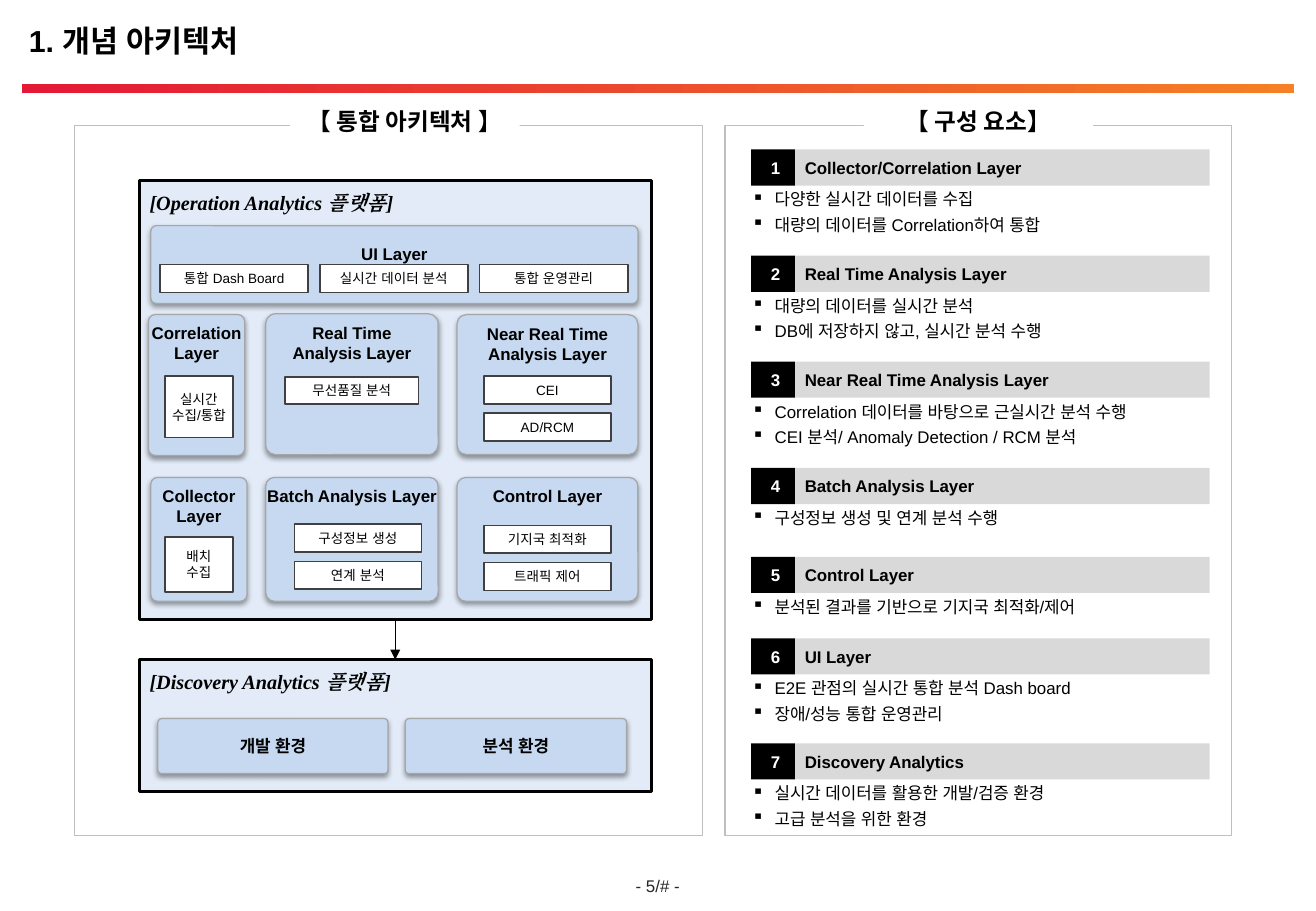
from lxml.etree import SubElement
from pptx import Presentation
from pptx.dml.color import RGBColor
from pptx.enum.shapes import MSO_CONNECTOR, MSO_SHAPE
from pptx.enum.text import MSO_ANCHOR, PP_ALIGN
from pptx.oxml.ns import qn
from pptx.util import Pt

BLACK = RGBColor(0x00, 0x00, 0x00)
WHITE = RGBColor(0xFF, 0xFF, 0xFF)
CHARCOAL = RGBColor(0x26, 0x26, 0x26)
DARK_GREY = RGBColor(0x40, 0x40, 0x40)
MID_GREY = RGBColor(0xA6, 0xA6, 0xA6)
PANEL_GREY = RGBColor(0xBF, 0xBF, 0xBF)
HEADER_GREY = RGBColor(0xD9, 0xD9, 0xD9)
LIGHT_BLUE = RGBColor(0xC6, 0xD9, 0xF1)
RED = RGBColor(0xE3, 0x19, 0x36)
ORANGE = RGBColor(0xF5, 0x80, 0x25)
KOREAN = "Noto Sans CJK KR"

deck = Presentation()
deck.slide_width, deck.slide_height = Pt(780), Pt(540)
page = deck.slides.add_slide(deck.slide_layouts[6])


def add_box(at, fill=None, line=None, width=0.75, kind=MSO_SHAPE.RECTANGLE):
    """Add a shape, or a text box when there is no fill."""
    place = [Pt(length) for length in at]
    if fill is None:
        return page.shapes.add_textbox(*place)
    box = page.shapes.add_shape(kind, *place)
    box.shadow.inherit = False
    box.fill.solid()
    box.fill.fore_color.rgb = fill
    if line is None:
        box.line.fill.background()
    else:
        box.line.color.rgb = line
        box.line.width = Pt(width)
    return box


def write(box, lines, size, insets, font="Arial", color=BLACK, bold=False,
          align=PP_ALIGN.CENTER, anchor=MSO_ANCHOR.MIDDLE, wrap=True):
    """Fill a box with one paragraph per line."""
    frame = box.text_frame
    frame.word_wrap = wrap
    frame.vertical_anchor = anchor
    (frame.margin_left, frame.margin_top,
     frame.margin_right, frame.margin_bottom) = [Pt(inset) for inset in insets]
    frame.text = "\n".join(lines)
    for para in frame.paragraphs:
        para.alignment = align
        para.font.size = Pt(size)
        para.font.bold = bold
        para.font.color.rgb = color
        para.font.name = font
        defaults = para._p.pPr.find(qn("a:defRPr"))
        SubElement(defaults, qn("a:ea"), typeface=font)
    return frame.paragraphs


# Title, gradient rule and page number
title = add_box((10, 9.4, 758, 33))
para = write(title, ["1. "], 18, (7.2, 3.6, 7.2, 3.6), bold=True,
             align=PP_ALIGN.LEFT, anchor=MSO_ANCHOR.TOP)[0]
for text, font in (("개념", KOREAN), (" 아키텍처", "Arial")):
    span = para.add_run()
    span.text = text
    span.font.name = font
    SubElement(span._r.get_or_add_rPr(), qn("a:ea"), typeface=font)

rule = add_box((13, 49.8, 754, 5.4), RED)
rule.fill.gradient()
rule.fill.gradient_angle = 0
for stop, color in zip(rule.fill.gradient_stops, (RED, ORANGE)):
    stop.color.rgb = color

number = add_box((367, 519, 45.6, 11.6))
write(number, ["- 5/# -"], 10, (0, 0, 0, 0), color=CHARCOAL, wrap=False)

# Two panels with a heading that breaks the top border
for left, width, heading_left, heading in (
        (44, 372.4, 172, "【 통합 아키텍처 】"),
        (429.8, 300.2, 512, "【 구성 요소】")):
    add_box((left, 74.2, width, 421), WHITE, PANEL_GREY)
    box = add_box((heading_left, 60.5, 136, 23), WHITE)
    write(box, [heading], 14, (3, 3, 3, 3), font=KOREAN, bold=True)

# Platforms and the arrow between them
platforms = []
for top, height, name in ((107, 260, "[Operation Analytics 플랫폼]"),
                          (391, 78.4, "[Discovery Analytics 플랫폼]")):
    box = add_box((82.6, top, 303.4, height), LIGHT_BLUE, BLACK, 1.75)
    tint = box.fill._xPr.find(qn("a:solidFill"))[0]
    SubElement(tint, qn("a:alpha"), val="50000")
    para = write(box, [name], 12, (6, 6, 6, 6), font="Times New Roman",
                 bold=True, align=PP_ALIGN.LEFT, anchor=MSO_ANCHOR.TOP)[0]
    para.font.italic = True
    platforms.append(box)

arrow = page.shapes.add_connector(MSO_CONNECTOR.STRAIGHT, 0, 0, 0, 0)
arrow.begin_connect(platforms[0], 2)
arrow.end_connect(platforms[1], 0)
arrow.line.color.rgb = BLACK
arrow.line.width = Pt(0.75)
SubElement(arrow.line._get_or_add_ln(), qn("a:tailEnd"), type="triangle")
SubElement(arrow._element.spPr, qn("a:effectLst"))

# Layers: place, name, line spacing
layers = [
    ((89.4, 133.8, 288.7, 46.1), ["UI Layer"], 1.5),
    ((88, 186.5, 57, 83.5), ["Correlation", "Layer"], 1),
    ((157.5, 186, 102.2, 83.5), ["Real Time", "Analysis Layer"], 1),
    ((270.9, 186.5, 107.2, 83), ["Near Real Time", "Analysis Layer"], 1),
    ((89.4, 283, 57, 73.4), ["Collector", "Layer"], 1),
    ((157.5, 283, 102.2, 73.4), ["Batch Analysis Layer"], 1),
    ((270.9, 283, 107.2, 73.4), ["Control Layer"], 1),
    ((93.6, 426, 136.4, 32.6), ["개발 환경"], 1.5),
    ((240.2, 426, 131.2, 32.6), ["분석 환경"], 1.5),
]
for at, name, spacing in layers:
    box = add_box(at, LIGHT_BLUE, MID_GREY, kind=MSO_SHAPE.ROUNDED_RECTANGLE)
    box.adjustments[0] = 0.07
    effects = box._element.spPr.find(qn("a:effectLst"))
    shadow = SubElement(effects, qn("a:outerShdw"), blurRad="40000",
                        dist="20000", dir="5400000", rotWithShape="0")
    shade = SubElement(shadow, qn("a:srgbClr"), val="000000")
    SubElement(shade, qn("a:alpha"), val="38000")
    for para in write(box, name, 10, (7.2, 3.6, 7.2, 3.6), bold=True,
                      anchor=MSO_ANCHOR.TOP, wrap=False):
        para.line_spacing = spacing

# Modules inside the layers
modules = [
    ((97.9, 223, 40.1, 36.4), ["실시간", "수집/통합"]),
    ((97.9, 318.3, 40.1, 32.6), ["배치", "수집"]),
    ((169, 223.4, 79.2, 16.2), ["무선품질 분석"]),
]
for column, name in enumerate(("통합 Dash Board", "실시간 데이터 분석", "통합 운영관리")):
    modules.append(((94.9 + 94.7 * column, 156.9, 87.8, 16.5), [name]))
for left, top, names in ((286.8, 223, ("CEI", "AD/RCM")),
                         (174.5, 310.8, ("구성정보 생성", "연계 분석")),
                         (286.8, 311.5, ("기지국 최적화", "트래픽 제어"))):
    for row, name in enumerate(names):
        modules.append(((left, top + 22 * row, 75.4, 16.5), [name]))
for at, name in modules:
    write(add_box(at, WHITE, DARK_GREY, 1), name, 8, (0, 3.6, 0, 3.6))

# Numbered components: top, name, bullets
components = [
    (88.6, "Collector/Correlation Layer",
     ["다양한 실시간 데이터를 수집", "대량의 데이터를 Correlation하여 통합"]),
    (151.6, "Real Time Analysis Layer",
     ["대량의 데이터를 실시간 분석", "DB에 저장하지 않고, 실시간 분석 수행"]),
    (214.3, "Near Real Time Analysis Layer",
     ["Correlation 데이터를 바탕으로 근실시간 분석 수행",
      "CEI 분석/ Anomaly Detection / RCM 분석"]),
    (277.4, "Batch Analysis Layer", ["구성정보 생성 및 연계 분석 수행"]),
    (330.1, "Control Layer", ["분석된 결과를 기반으로 기지국 최적화/제어"]),
    (378.4, "UI Layer",
     ["E2E 관점의 실시간 통합 분석 Dash board", "장애/성능 통합 운영관리"]),
    (440.6, "Discovery Analytics",
     ["실시간 데이터를 활용한 개발/검증 환경", "고급 분석을 위한 환경"]),
]
for index, (top, name, bullets) in enumerate(components, 1):
    header = add_box((471, top, 246, 21.4), HEADER_GREY)
    write(header, [name], 10, (6, 3, 3, 3), bold=True, align=PP_ALIGN.LEFT)
    badge = add_box((445.2, top, 26, 21.4), BLACK)
    write(badge, [str(index)], 10, (6, 3, 3, 3), color=WHITE, bold=True)
    details = add_box((445.7, top + 23.5, 271, 14 * len(bullets)))
    for para in write(details, bullets, 10, (0, 0, 0, 0),
                      align=PP_ALIGN.LEFT, anchor=MSO_ANCHOR.TOP):
        para.space_before = Pt(3)
        settings = para._p.pPr
        settings.set("marL", str(Pt(13.5)))
        settings.set("indent", str(-Pt(13.5)))
        mark = SubElement(settings, qn("a:buChar"), char="▪")
        settings.find(qn("a:defRPr")).addprevious(mark)

deck.save("out.pptx")
